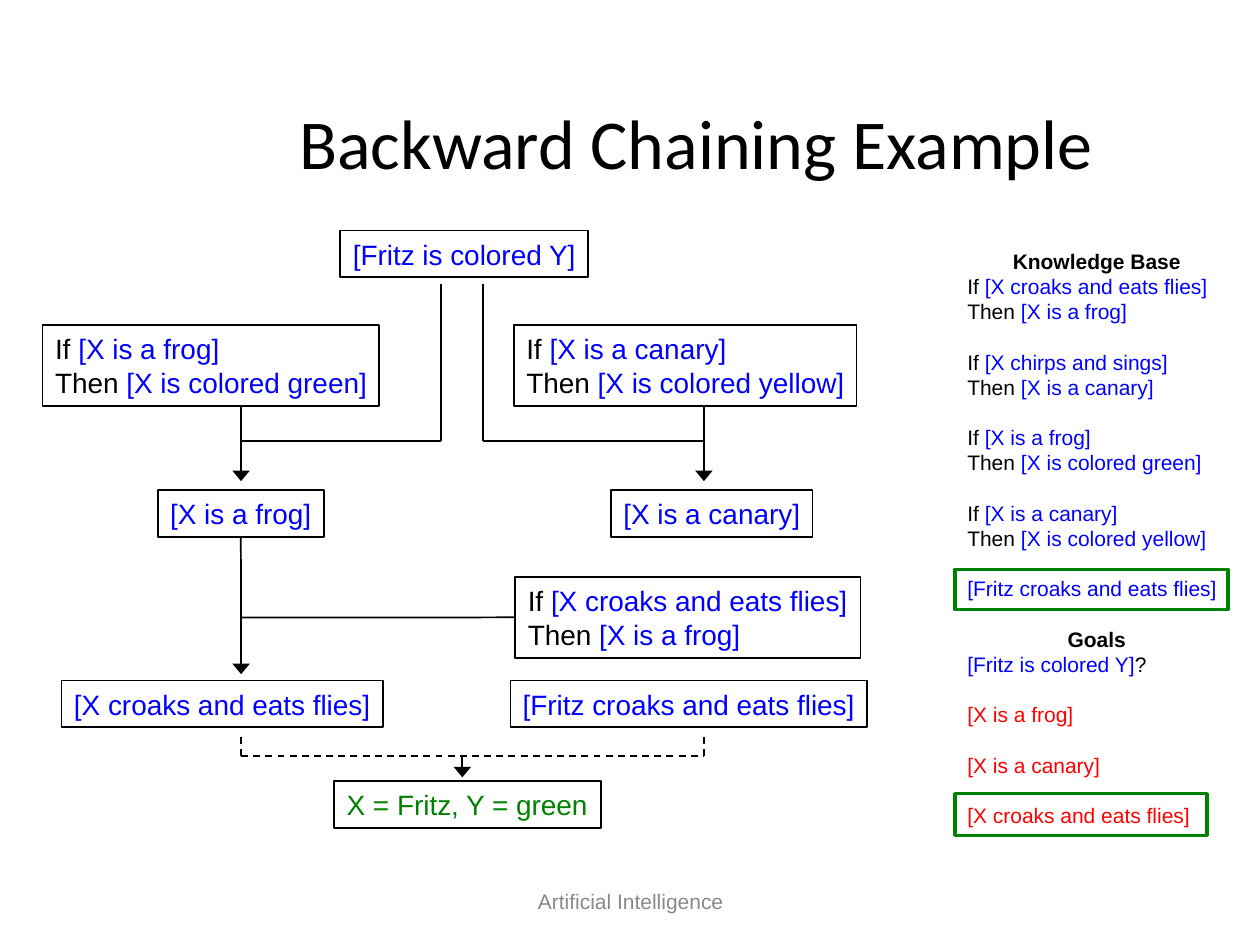
from lxml.etree import SubElement
from pptx import Presentation
from pptx.dml.color import RGBColor
from pptx.enum.dml import MSO_LINE
from pptx.enum.shapes import MSO_CONNECTOR, MSO_SHAPE
from pptx.enum.text import MSO_ANCHOR, PP_ALIGN
from pptx.oxml.ns import qn
from pptx.util import Cm, Pt

BLACK, BLUE, RED, GREEN, GRAY = "000000", "0000FF", "FF0000", "008000", "898989"
LEFT, CENTER = PP_ALIGN.LEFT, PP_ALIGN.CENTER


def write(frame, lines, size, align=LEFT, font="Arial", pitch=None, anchor=MSO_ANCHOR.MIDDLE):
    """Fill a frame; each line is a list of (text, colour) runs."""
    frame.vertical_anchor = anchor
    for index, runs in enumerate(lines):
        paragraph = frame.paragraphs[0] if index == 0 else frame.add_paragraph()
        paragraph.alignment = align
        if pitch:
            paragraph.line_spacing = Pt(pitch)
        for text, color in runs:
            run = paragraph.add_run()
            run.text = text
            run.font.size = Pt(size)
            run.font.name = font
            run.font.color.rgb = RGBColor.from_string(color)


def link(x1, y1, x2, y2, arrow=False, dashed=False):
    connector = slide.shapes.add_connector(
        MSO_CONNECTOR.STRAIGHT, Cm(x1), Cm(y1), Cm(x2), Cm(y2))
    connector.line.color.rgb = RGBColor.from_string(BLACK)
    connector.line.width = Pt(1)
    if dashed:
        connector.line.dash_style = MSO_LINE.DASH
    if arrow:
        SubElement(connector.line._get_or_add_ln(), qn("a:tailEnd"),
                   type="triangle", w="lg", len="med")
    SubElement(connector._element.spPr, qn("a:effectLst"))
    return connector


prs = Presentation()
prs.slide_width, prs.slide_height = Cm(25.4), Cm(19.05)
slide = prs.slides.add_slide(prs.slide_layouts[6])

# Title and footer
for text, size, font, color, place in [
    ("Backward Chaining Example", 40, "Calibri", BLACK, (2.97, 1.9, 22.12, 1.9)),
    ("Artificial Intelligence", 12, "Arial", GRAY, (8.69, 17.65, 8.05, 1.02)),
]:
    frame = slide.shapes.add_textbox(*map(Cm, place)).text_frame
    frame.word_wrap = True
    write(frame, [[(text, color)]], size, CENTER, font)

# Rules, as the two lines in which they are shown
frog_rule, canary_rule, green_rule, yellow_rule = [
    [[("If ", BLACK), (f"[{condition}]", BLUE)], [("Then ", BLACK), (f"[{conclusion}]", BLUE)]]
    for condition, conclusion in [
        ("X croaks and eats flies", "X is a frog"),
        ("X chirps and sings", "X is a canary"),
        ("X is a frog", "X is colored green"),
        ("X is a canary", "X is colored yellow"),
    ]
]

# Knowledge base and goals: entries are set apart by one line of space
entries = [
    [[("Knowledge Base", BLACK)]] + frog_rule,
    canary_rule,
    green_rule,
    yellow_rule,
    [[("[Fritz croaks and eats flies]", BLUE)]],
    [[("Goals", BLACK)], [("[Fritz is colored Y]", BLUE), ("?", BLACK)]],
    [[("[X is a frog]", RED)]],
    [[("[X is a canary]", RED)]],
    [[("[X croaks and eats flies]", RED)]],
]
panel = slide.shapes.add_textbox(Cm(19.25), Cm(4.88), Cm(5.72), Cm(12.73)).text_frame
panel.word_wrap = True
write(panel, sum(entries, []), 12, pitch=14.4, anchor=MSO_ANCHOR.TOP)
first_line = 0
for entry in entries:
    if first_line:
        panel.paragraphs[first_line].space_before = Pt(14.4)
    first_line += len(entry)
for paragraph in panel.paragraphs:
    if paragraph.text in ("Knowledge Base", "Goals"):
        paragraph.alignment = CENTER
        paragraph.runs[0].font.bold = True

# Frames around the matching fact and goal
for place in [(19.25, 11.48, 5.51, 0.81), (19.25, 16, 5.08, 0.84)]:
    highlight = slide.shapes.add_shape(MSO_SHAPE.RECTANGLE, *map(Cm, place))
    highlight.shadow.inherit = False
    highlight.fill.background()
    highlight.line.color.rgb = RGBColor.from_string(GREEN)
    highlight.line.width = Pt(2)

# Boxes of the inference chain
nodes = {}
for name, lines, x, y, width in [
    ("goal", [[("[Fritz is colored Y]", BLUE)]], 6.86, 4.65, 5),
    ("green rule", green_rule, 0.86, 6.55, 6.78),
    ("yellow rule", yellow_rule, 10.36, 6.55, 6.91),
    ("frog", [[("[X is a frog]", BLUE)]], 3.18, 9.88, 3.35),
    ("canary", [[("[X is a canary]", BLUE)]], 12.32, 9.88, 4.06),
    ("frog rule", frog_rule, 10.39, 11.63, 6.96),
    ("croaks", [[("[X croaks and eats flies]", BLUE)]], 1.24, 13.72, 6.48),
    ("fact", [[("[Fritz croaks and eats flies]", BLUE)]], 10.29, 13.72, 7.19),
    ("answer", [[("X = Fritz, Y = green", GREEN)]], 6.73, 15.75, 5.38),
]:
    height = 0.94 if len(lines) == 1 else 1.63
    node = slide.shapes.add_shape(
        MSO_SHAPE.RECTANGLE, Cm(x), Cm(y), Cm(width), Cm(height))
    node.shadow.inherit = False
    node.fill.background()
    node.line.color.rgb = RGBColor.from_string(BLACK)
    node.line.width = Pt(1)
    node.text_frame.word_wrap = False
    write(node.text_frame, lines, 16, CENTER if len(lines) == 1 else LEFT, pitch=19.4)
    nodes[name] = node

# The goal meets each colour rule; the two sides are later unified
frog_x, canary_x, unify_y = 4.86, 14.19, 15.24
for branch_x, goal_x in [(frog_x, 8.89), (canary_x, 9.74)]:
    link(branch_x, 8.2, branch_x, 9.7, arrow=True)
    link(goal_x, 5.72, goal_x, 8.89)
    link(goal_x, 8.89, branch_x, 8.89)
    link(branch_x, unify_y, branch_x, 14.81, dashed=True)
link(frog_x, unify_y, canary_x, unify_y, dashed=True)
link(9.32, unify_y, 9.32, 15.67, arrow=True)

# The frog subgoal meets the frog rule
link(frog_x, 10.82, frog_x, 13.59, arrow=True).begin_connect(nodes["frog"], 2)
link(10.39, 12.45, frog_x, 12.45).begin_connect(nodes["frog rule"], 1)

prs.save("out.pptx")
